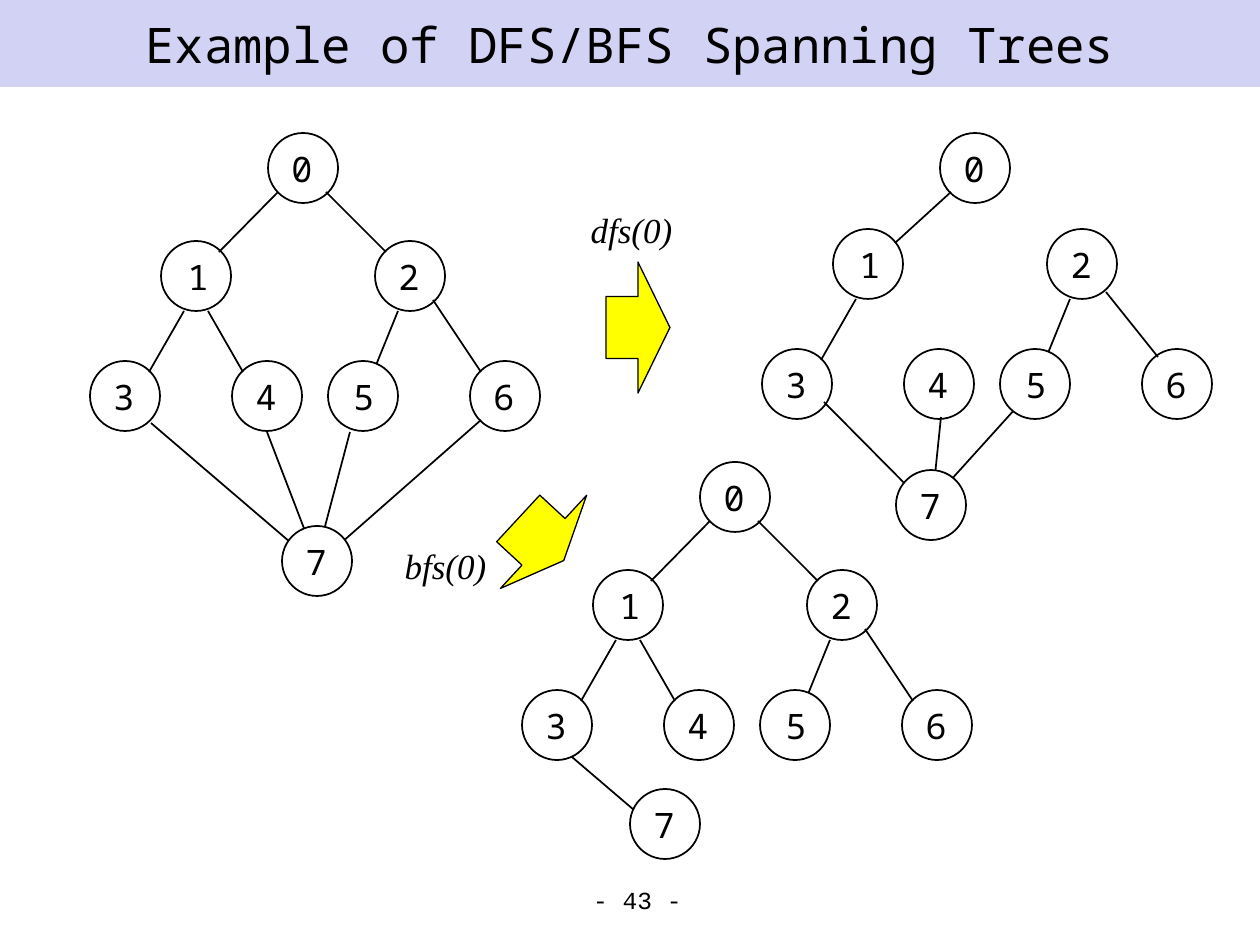
"""Build a slide comparing the DFS and BFS spanning trees of one graph."""
from dataclasses import dataclass

from lxml.etree import SubElement
from pptx import Presentation
from pptx.dml.color import RGBColor
from pptx.enum.shapes import MSO_CONNECTOR, MSO_SHAPE
from pptx.enum.text import MSO_ANCHOR, PP_ALIGN
from pptx.oxml.ns import qn
from pptx.util import Emu, Pt


@dataclass(frozen=True)
class Theme:
    ink: RGBColor = RGBColor(0x00, 0x00, 0x00)
    paper: RGBColor = RGBColor(0xFF, 0xFF, 0xFF)
    banner: RGBColor = RGBColor(0xD2, 0xD2, 0xF4)
    arrow: RGBColor = RGBColor(0xFF, 0xFF, 0x00)
    mono: str = "Noto Sans Mono"
    serif: str = "Times New Roman"
    footer: str = "Courier New"
    title_size: int = 28
    body_size: int = 20
    footer_size: int = 14


theme = Theme()


def px(*lengths):
    return [Emu(round(length * 914400 / 126)) for length in lengths]


def write(box, text, font=theme.mono, size=theme.body_size, italic=False,
          align=PP_ALIGN.CENTER, anchor=MSO_ANCHOR.TOP, wrap=False):
    frame = box.text_frame
    frame.word_wrap = wrap
    frame.vertical_anchor = anchor
    para = frame.paragraphs[0]
    para.alignment = align
    span = para.add_run()
    span.text = text
    span.font.name = font
    span.font.size = Pt(size)
    span.font.italic = italic
    span.font.color.rgb = theme.ink


deck = Presentation()
deck.slide_width, deck.slide_height = px(1260, 945)
page = deck.slides.add_slide(deck.slide_layouts[5])

title = page.shapes.title
title.left, title.top, title.width, title.height = px(0, 0, 1260, 87)
title.fill.solid()
title.fill.fore_color.rgb = theme.banner
write(title, "Example of DFS/BFS Spanning Trees", size=theme.title_size,
      anchor=MSO_ANCHOR.MIDDLE, wrap=True)

page_number = page.shapes.add_textbox(*px(432, 879, 262, 39))
write(page_number, "- 43 -", font=theme.footer, size=theme.footer_size,
      align=PP_ALIGN.RIGHT, wrap=True)

node_size = 70
filled_nodes = {5, 7}
label_shift = {1: 3, 5: 2}
base_nodes = {0: (268, 133), 1: (161, 241), 2: (375, 241), 3: (90, 361),
              4: (232, 361), 5: (328, 361), 6: (470, 361)}
base_edges = {
    (0, 1): (278, 192, 219, 252), (0, 2): (326, 192, 386, 252),
    (1, 3): (184, 311, 149, 372), (1, 4): (208, 311, 243, 372),
    (2, 5): (398, 311, 372, 375), (2, 6): (433, 300, 481, 372),
}

# noqa: E501
trees = [
    {"shift": (0, 0), "kept": list(base_edges), "nodes": {7: (282, 526)},
     "edges": [(267, 432, 307, 536), (350, 432, 323, 534),
               (151, 423, 290, 542), (481, 420, 341, 543)]},
    {"shift": (672, -12), "kept": [(1, 3), (2, 5)],
     "nodes": {0: (268, 145), 7: (224, 482)},
     "edges": [(279, 204, 223, 255), (434, 304, 486, 369),
               (152, 414, 250, 513), (269, 429, 259, 526),
               (344, 420, 269, 503)]},
    {"shift": (432, 329), "kept": list(base_edges), "nodes": {7: (198, 460)},
     "edges": [(140, 428, 209, 487)]},
]

for tree in trees:
    across, down = tree["shift"]
    for x1, y1, x2, y2 in [base_edges[pair] for pair in tree["kept"]] + tree["edges"]:
        edge = page.shapes.add_connector(
            MSO_CONNECTOR.STRAIGHT,
            *px(x1 + across, y1 + down, x2 + across, y2 + down))
        edge.line.color.rgb = theme.ink
        edge.line.width = Pt(1)
        SubElement(edge.element.spPr, qn("a:effectLst"))

    for number, (x, y) in (base_nodes | tree["nodes"]).items():
        left, top = x + across, y + down
        node = page.shapes.add_shape(
            MSO_SHAPE.OVAL, *px(left, top, node_size, node_size))
        node.shadow.inherit = False
        node.line.color.rgb = theme.ink
        node.line.width = Pt(1)
        if number in filled_nodes:
            node.fill.solid()
            node.fill.fore_color.rgb = theme.paper
        else:
            node.fill.background()
        label = page.shapes.add_textbox(
            *px(left + 11 + label_shift.get(number, 0), top + 8, 46, 55))
        write(label, str(number))

searches = [
    ("dfs(0)", (578, 202, 107, 54), (606, 262, 64, 131), 0, (0.473, 0.5)),
    ("bfs(0)", (392, 538, 107, 54), (510, 476, 62, 127), 42.8, (0.5, 0.444)),
]
for name, name_place, arrow_place, angle, proportions in searches:
    arrow = page.shapes.add_shape(MSO_SHAPE.RIGHT_ARROW, *px(*arrow_place))
    arrow.rotation = angle
    arrow.adjustments[0], arrow.adjustments[1] = proportions
    arrow.shadow.inherit = False
    arrow.fill.solid()
    arrow.fill.fore_color.rgb = theme.arrow
    arrow.line.color.rgb = theme.ink
    arrow.line.width = Pt(0.75)
    caption = page.shapes.add_textbox(*px(*name_place))
    write(caption, name, font=theme.serif, italic=True)

deck.save("out.pptx")
